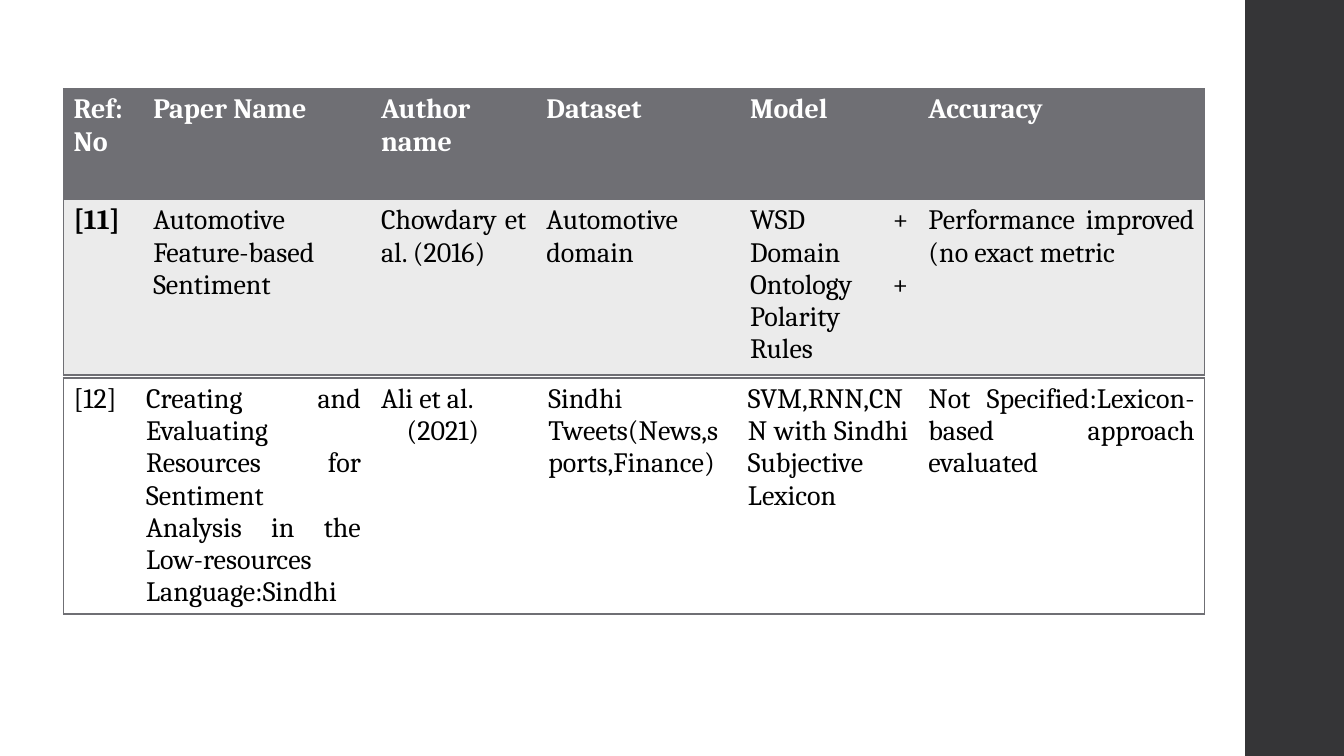
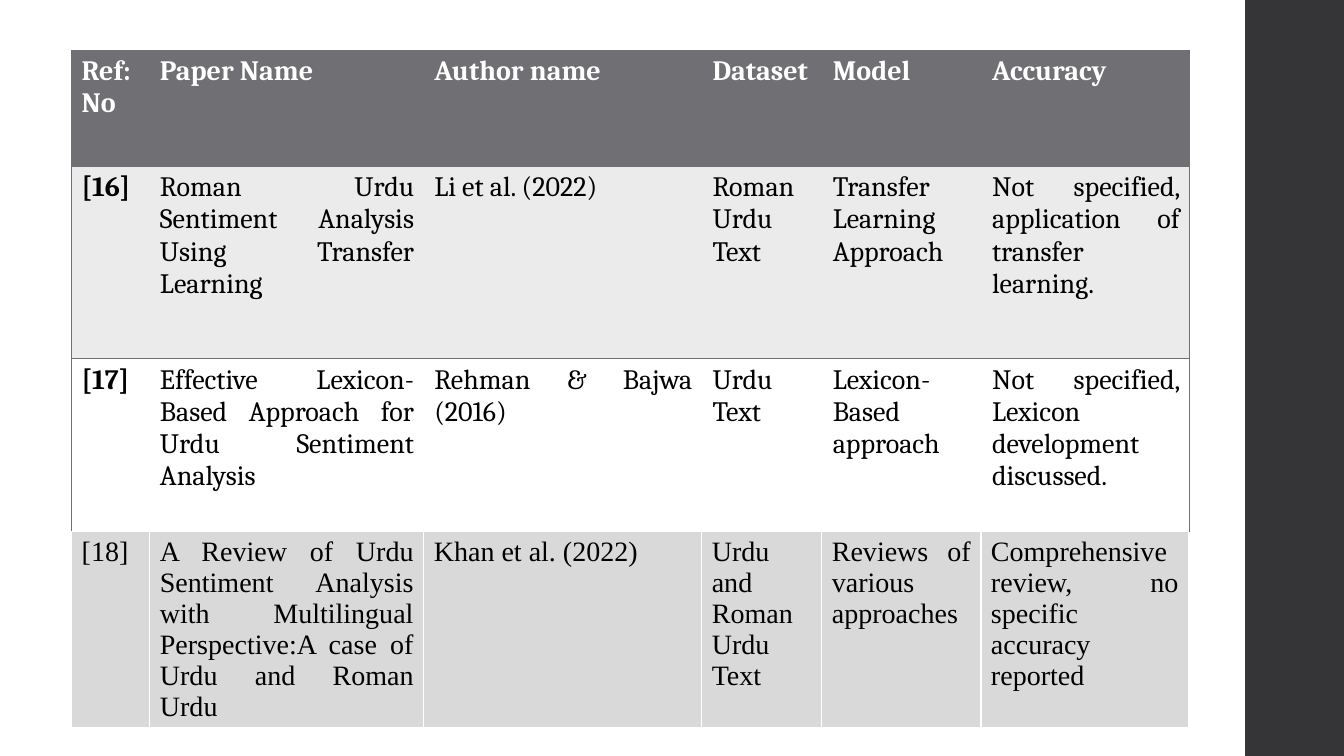
"""Build two literature-review slides with tables of sentiment-analysis papers."""
from typing import NamedTuple

from lxml.etree import SubElement
from pptx import Presentation
from pptx.dml.color import RGBColor
from pptx.enum.shapes import MSO_SHAPE as Preset
from pptx.enum.text import PP_ALIGN as Align
from pptx.oxml.ns import qn
from pptx.util import Inches, Pt

BLACK = RGBColor(0x00, 0x00, 0x00)
WHITE = RGBColor(0xFF, 0xFF, 0xFF)
CHARCOAL = RGBColor(0x35, 0x35, 0x37)
SLATE = RGBColor(0x6F, 0x6F, 0x74)
MIST = RGBColor(0xEB, 0xEB, 0xEB)
SILVER = RGBColor(0xD9, 0xD9, 0xD9)


class RowStyle(NamedTuple):
    fill: RGBColor
    ink: RGBColor = BLACK
    bold_first: bool = False
    bold_rest: bool = False
    font: str = "Cambria"
    line: RGBColor = SLATE
    inner_lines: bool = False


HEADER = RowStyle(SLATE, WHITE, True, True)
SHADED = RowStyle(MIST, bold_first=True)
PLAIN = RowStyle(WHITE)
PLAIN_BOLD = RowStyle(WHITE, bold_first=True)
PANEL = RowStyle(SILVER, font="Times New Roman", line=WHITE, inner_lines=True)

HEADINGS = ("Ref:\nNo", "Paper Name", "Author name", "Dataset", "Model", "Accuracy")


class Review:
    """Hold the deck, its style and the current page; lengths are percentages."""

    def __init__(self):
        self.deck = Presentation()
        self.deck.slide_width = Inches(13.33)
        self.deck.slide_height = Inches(7.5)
        self.layout = self.deck.slide_layouts[6]
        self.page = None

    def across(self, share):
        return round(self.deck.slide_width * share / 100)

    def down(self, share):
        return round(self.deck.slide_height * share / 100)

    def add_page(self):
        self.page = self.deck.slides.add_slide(self.layout)

    def add_layout_band(self, left):
        band = self.page.shapes.add_shape(
            Preset.RECTANGLE, self.across(left), 0, self.across(100 - left), self.down(100))
        band.shadow.inherit = False
        band.fill.solid()
        band.fill.fore_color.rgb = CHARCOAL
        band.line.fill.background()
        self.layout.shapes.element.append(band.element)

    def add_table(self, left, top, width, columns, rows):
        """Add a table whose rows are (style, height, texts) and return it."""
        height = sum(share for _, share, _ in rows)
        frame = self.page.shapes.add_table(
            len(rows), len(columns), self.across(left), self.down(top),
            self.across(width), self.down(height))
        table = frame.table
        table.first_row = table.horz_banding = False
        for column, share in zip(table.columns, columns):
            column.width = self.across(width * share / sum(columns))
        for row, (style, share, texts) in zip(table.rows, rows):
            row.height = self.down(share)
            for index, (cell, text) in enumerate(zip(row.cells, texts)):
                self.fill_cell(cell, text, style, index == 0)
                self.draw_borders(cell, style, index == 0, index == len(texts) - 1)
        return table

    def fill_cell(self, cell, text, style, first):
        cell.fill.solid()
        cell.fill.fore_color.rgb = style.fill
        cell.text_frame.text = text
        for paragraph in cell.text_frame.paragraphs:
            paragraph.alignment = Align.JUSTIFY
            font = paragraph.font
            font.name = style.font
            font.size = Pt(20)
            font.bold = style.bold_first if first else style.bold_rest
            font.color.rgb = style.ink

    def draw_borders(self, cell, style, first, last):
        properties = cell._tc.get_or_add_tcPr()
        visible = {"lnL": first or style.inner_lines, "lnR": last or style.inner_lines,
                   "lnT": True, "lnB": True}
        for position, (side, shown) in enumerate(visible.items()):
            line = SubElement(properties, qn(f"a:{side}"), w=str(Pt(1)))
            if shown:
                fill = SubElement(line, qn("a:solidFill"))
                SubElement(fill, qn("a:srgbClr"), val=str(style.line))
            else:
                SubElement(line, qn("a:noFill"))
            properties.insert(position, line)

    def indent(self, paragraph, share):
        paragraph._p.get_or_add_pPr().set("marL", str(self.across(share)))


def main():
    review = Review()

    review.add_page()
    review.add_layout_band(92.65)
    review.add_table(4.73, 11.73, 84.92, (6.98, 19.96, 14.49, 17.84, 15.64, 25.09), (
        (HEADER, 14.67, HEADINGS),
        (SHADED, 23.2, (
            "[11]", "Automotive Feature-based Sentiment", "Chowdary et al. (2016)",
            "Automotive domain", "WSD + Domain Ontology + Polarity Rules",
            "Performance improved (no exact metric")),
    ))
    sindhi = review.add_table(4.73, 50, 84.92, (6.36, 20.58, 14.66, 17.49, 15.81, 25.1), (
        (PLAIN, 27.73, (
            "[12]",
            "Creating and Evaluating Resources for Sentiment Analysis in the "
            "Low-resources Language:Sindhi",
            "Ali et al.\n(2021)", "Sindhi Tweets(News,sports,Finance)",
            "SVM,RNN,CNN with Sindhi Subjective Lexicon",
            "Not Specified:Lexicon-based approach evaluated")),
    ))
    review.indent(sindhi.cell(0, 2).text_frame.paragraphs[1], 1.9)

    review.add_page()
    urdu_columns = (7, 24.53, 24.89, 10.75, 14.25, 18.58)
    review.add_table(5.33, 6.67, 83.2, urdu_columns, (
        (HEADER, 15.33, HEADINGS),
        (SHADED, 25.47, (
            "[16]", "Roman Urdu Sentiment Analysis Using Transfer Learning",
            "Li et al. (2022)", "Roman Urdu Text", "Transfer Learning Approach",
            "Not specified, application of transfer learning.")),
        (PLAIN_BOLD, 22.8, (
            "[17]", "Effective Lexicon-Based Approach for Urdu Sentiment Analysis",
            "Rehman & Bajwa (2016)", "Urdu Text", "Lexicon-Based approach",
            "Not specified, Lexicon development discussed.")),
    ))
    review.add_table(5.33, 70.27, 83.1, urdu_columns, (
        (PANEL, 25.47, (
            "[18]",
            "A Review of Urdu Sentiment Analysis with Multilingual Perspective:"
            "A case of Urdu and Roman Urdu",
            "Khan et al. (2022)", "Urdu and Roman Urdu Text",
            "Reviews of various approaches",
            "Comprehensive review, no specific accuracy reported")),
    ))

    review.deck.save("out.pptx")


if __name__ == "__main__":
    main()
